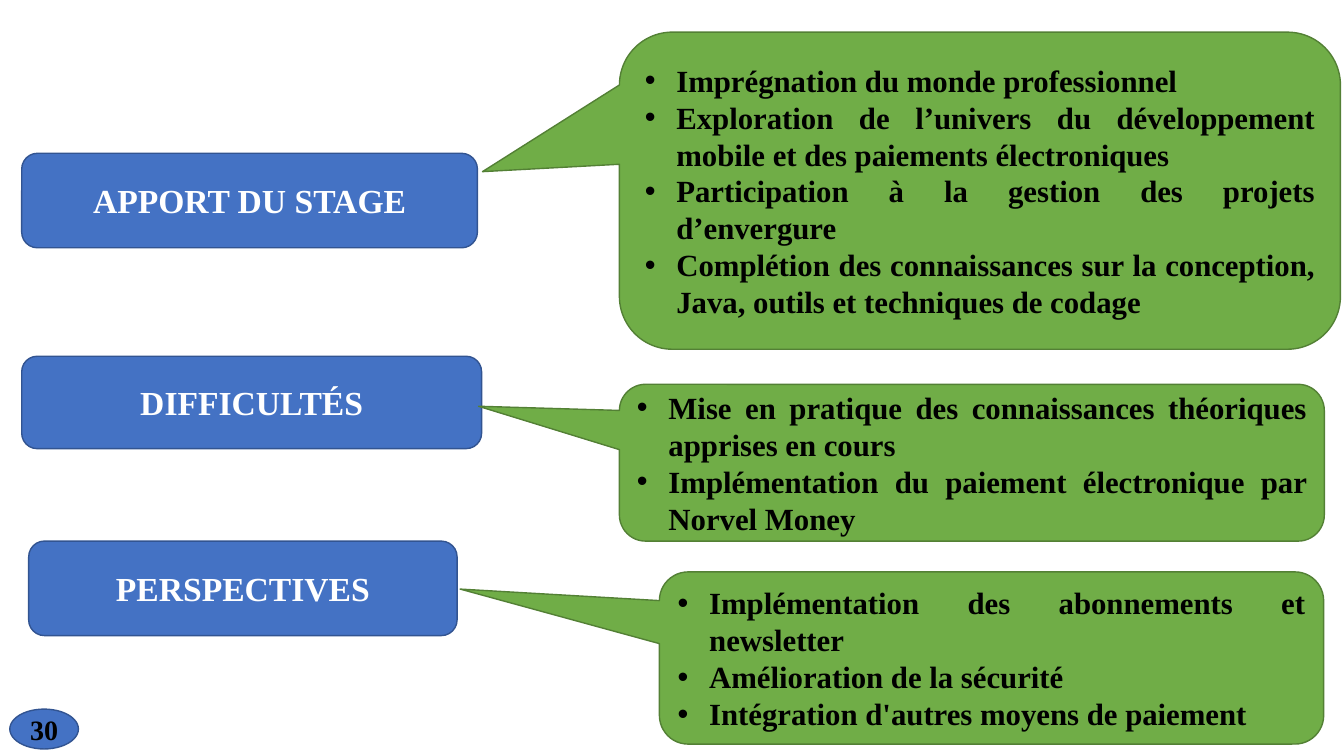
from pptx import Presentation
from pptx.dml.color import RGBColor
from pptx.enum.shapes import MSO_SHAPE as SHAPE
from pptx.enum.text import MSO_ANCHOR as ANCHOR, PP_ALIGN as ALIGN
from pptx.oxml.ns import qn
from pptx.util import Pt
from lxml.etree import SubElement

BLUE = RGBColor(0x44, 0x72, 0xC4)
BLUE_EDGE = RGBColor(0x32, 0x54, 0x91)
GREEN = RGBColor(0x70, 0xAD, 0x47)
GREEN_EDGE = RGBColor(0x53, 0x80, 0x35)
WHITE = RGBColor(0xFF, 0xFF, 0xFF)
BLACK = RGBColor(0, 0, 0)


class SlideBuilder:
    font = {"name": "Times New Roman", "bold": True}
    indent = 22.5

    def __init__(self, slide):
        self.slide = slide

    def shape(self, kind, box, fill, edge):
        sp = self.slide.shapes.add_shape(kind, *[Pt(v) for v in box])
        sp.shadow.inherit = False
        sp.fill.solid()
        sp.fill.fore_color.rgb = fill
        sp.line.color.rgb = edge
        sp.line.width = Pt(1)
        sp.text_frame.word_wrap = True
        sp.text_frame.vertical_anchor = ANCHOR.MIDDLE
        return sp

    def add_text(self, p, text, size, color, align):
        p.alignment = align
        r = p.add_run()
        r.text = text
        for key, value in {**self.font, "size": Pt(size)}.items():
            setattr(r.font, key, value)
        r.font.color.rgb = color

    def label(self, box, text):
        sp = self.shape(SHAPE.ROUNDED_RECTANGLE, box, BLUE, BLUE_EDGE)
        self.add_text(sp.text_frame.paragraphs[0], text, 24, WHITE, ALIGN.CENTER)

    def callout(self, box, tip, items):
        sp = self.shape(SHAPE.ROUNDED_RECTANGULAR_CALLOUT, box, GREEN, GREEN_EDGE)
        sp.adjustments[0], sp.adjustments[1] = tip
        tf = sp.text_frame
        for i, item in enumerate(items):
            p = tf.add_paragraph() if i else tf.paragraphs[0]
            self.bullet(p)
            self.add_text(p, item, 22, BLACK, ALIGN.JUSTIFY)

    def bullet(self, p):
        pPr = p._p.get_or_add_pPr()
        pPr.set("marL", str(Pt(self.indent)))
        pPr.set("indent", str(-Pt(self.indent)))
        SubElement(pPr, qn("a:buFont"), typeface="Arial")
        SubElement(pPr, qn("a:buChar"), char="•")

    def page_number(self, box, text):
        sp = self.shape(SHAPE.OVAL, box, BLUE, BLUE_EDGE)
        tf = sp.text_frame
        for side in ("left", "right", "top", "bottom"):
            setattr(tf, f"margin_{side}", 0)
        self.add_text(tf.paragraphs[0], text, 20, BLACK, ALIGN.CENTER)


SECTIONS = [
    ("DIFFICULTÉS", (15.5, 254.5, 328.5, 66), (442.5, 274.5, 503.5, 112), (-0.7, -0.36), [
        "Mise en pratique des connaissances théoriques apprises en cours",
        "Implémentation du paiement électronique par Norvel Money",
    ]),
    ("APPORT DU STAGE", (15.5, 109.5, 325.5, 67.5), (442.5, 23, 515, 226.5), (-0.69, -0.06), [
        "Imprégnation du monde professionnel",
        "Exploration de l’univers du développement mobile et des paiements électroniques",
        "Participation à la gestion des projets d’envergure",
        "Complétion des connaissances sur la conception, Java, outils et techniques de codage",
    ]),
    ("PERSPECTIVES", (20.5, 386.5, 306, 67.5), (471, 408.5, 474.5, 123), (-0.8, -0.4), [
        "Implémentation des abonnements et newsletter",
        "Amélioration de la sécurité",
        "Intégration d'autres moyens de paiement",
    ]),
]


def main():
    prs = Presentation()
    prs.slide_width, prs.slide_height = Pt(960), Pt(540)
    s = SlideBuilder(prs.slides.add_slide(prs.slide_layouts[6]))
    for title, label_box, callout_box, tip, items in SECTIONS:
        s.label(label_box, title)
        s.callout(callout_box, tip, items)
    s.page_number((7, 506.5, 49, 28.5), "30")
    prs.save("out.pptx")


if __name__ == "__main__":
    main()
